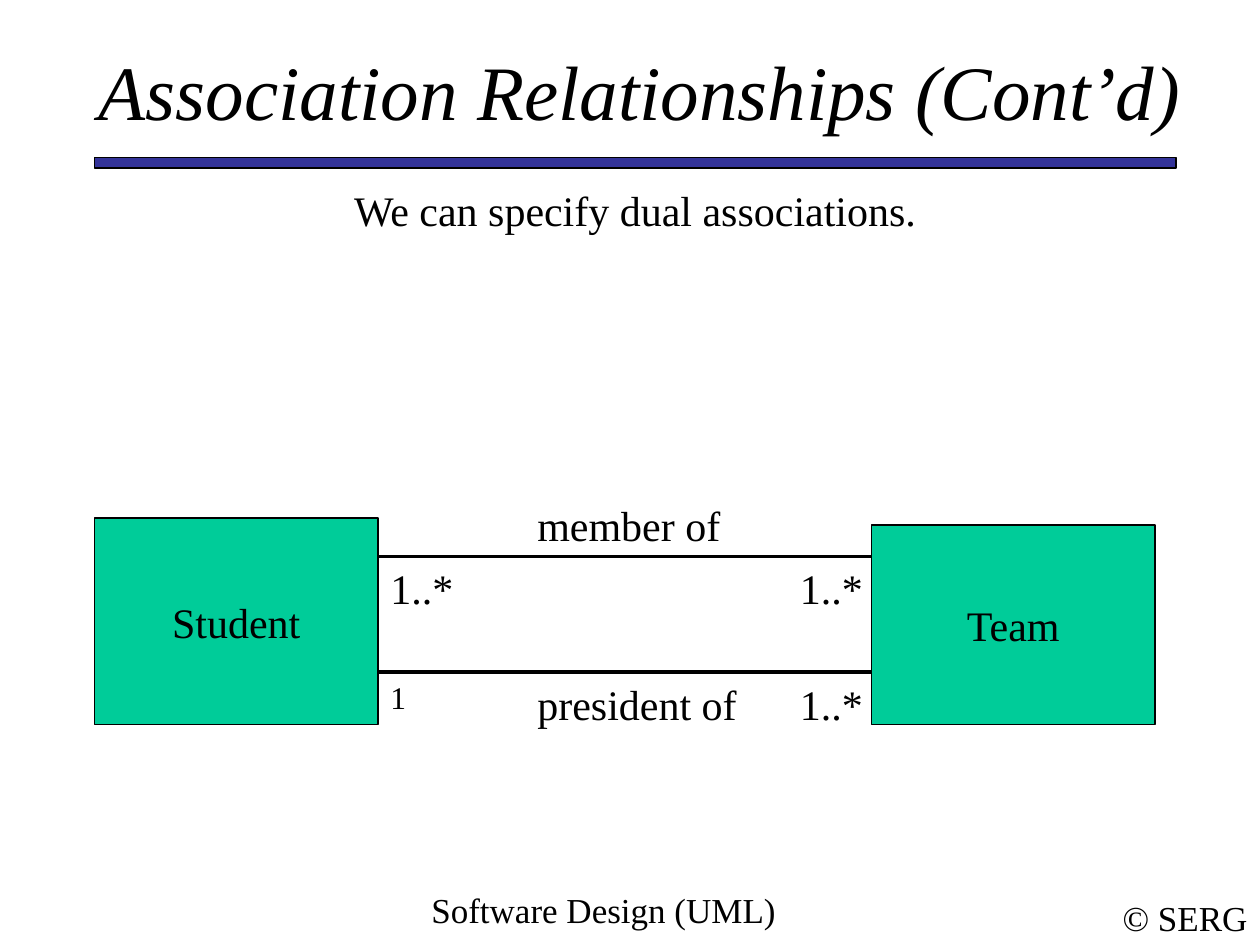
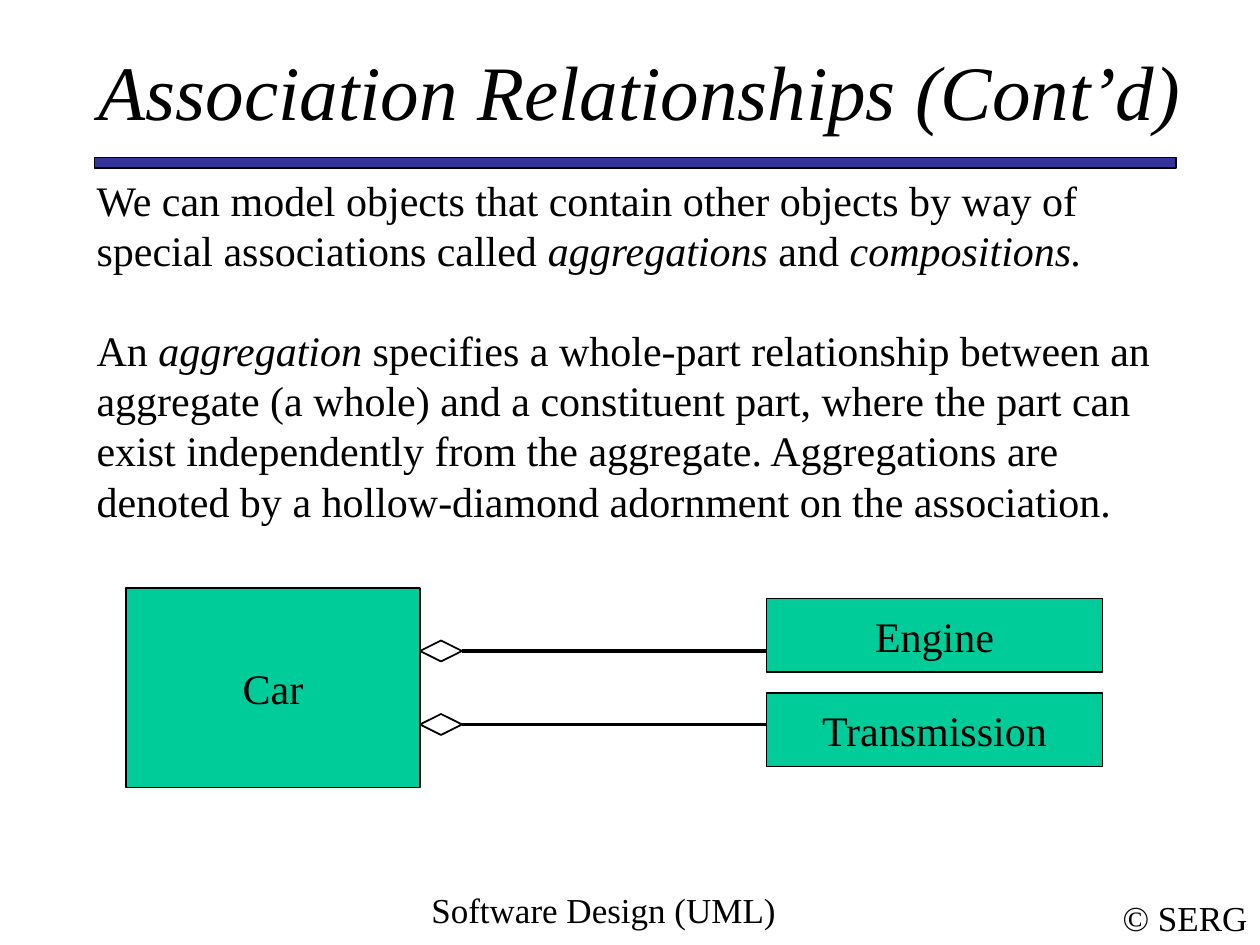
from dataclasses import dataclass

from lxml import etree
from pptx import Presentation
from pptx.dml.color import RGBColor
from pptx.enum.shapes import MSO_CONNECTOR, MSO_SHAPE
from pptx.enum.text import MSO_ANCHOR, MSO_AUTO_SIZE, PP_ALIGN
from pptx.oxml.ns import qn
from pptx.util import Pt

LEFT, CENTER = PP_ALIGN.LEFT, PP_ALIGN.CENTER
TOP, MIDDLE = MSO_ANCHOR.TOP, MSO_ANCHOR.MIDDLE
RECTANGLE, STRAIGHT = MSO_SHAPE.RECTANGLE, MSO_CONNECTOR.STRAIGHT
NO_AUTOFIT = MSO_AUTO_SIZE.NONE


@dataclass(frozen=True)
class Theme:
    font: str = "Times New Roman"
    ink: str = "000000"
    paper: str = "FFFFFF"
    band: str = "333399"
    class_fill: str = "00CC99"
    title: int = 44
    body: int = 24
    footer: int = 20
    small: int = 18
    thin: float = 0.75
    outline: float = 1
    association: float = 2.25
    paragraph_gap: float = 28


THEME = Theme()

# Boxes are (left, top, width, height) in points.
SLIDE_SIZE = (720, 540)
TITLE = "Association Relationships (Cont’d)"
TITLE_BOX = (48, 30, 636, 42)
BAND_BOX = (54, 90, 618, 6)
FOOTERS = [
    ("Software Design (UML)", (186, 504, 318, 36), TOP, True),
    ("© SERG", (634.5, 508.5, 85.5, 31.5), MIDDLE, False),
]

# Paragraphs are lists of (text, italic) spans.
DUAL_INTRO = [[("We can specify dual associations.", False)]]
DUAL_INTRO_BOX = (54, 102, 618, 36)
DUAL_CLASSES = [("Team", (498, 300, 162, 114)), ("Student", (54, 296, 162, 118))]
DUAL_LINES = [(216, 504, 318), (216, 498, 384)]  # start x, end x, y
DUAL_LABELS = [  # text, left, top, width, size
    ("member of", 300, 282, 138, THEME.body),
    ("president of", 300, 384, 138, THEME.body),
    ("1..*", 216, 318, 54, THEME.body),
    ("1..*", 450, 318, 54, THEME.body),
    ("1", 216, 384, 30, THEME.small),
    ("1..*", 450, 384, 54, THEME.body),
]

AGGREGATION_INTRO = [
    [
        ("We can model objects that contain other objects by way of special "
         "associations called ", False),
        ("aggregations", True),
        (" and ", False),
        ("compositions.", True),
    ],
    [
        ("An ", False),
        ("aggregation", True),
        (" specifies a whole-part relationship between an aggregate (a whole) and a "
         "constituent part, where the part can exist independently from the aggregate. "
         "Aggregations are denoted by a hollow-diamond adornment on the association.",
         False),
    ],
]
AGGREGATION_INTRO_BOX = (48, 96, 618, 209)
WHOLE = ("Car", (72, 336, 168, 114))
PARTS = [("Engine", (438, 342, 192, 42), 372), ("Transmission", (438, 396, 192, 42), 414)]
DIAMOND_SIZE = (24, 12)


def points(values):
    return [Pt(value) for value in values]


def write(shape, paragraphs, size, align=LEFT, anchor=TOP, wrap=True, margins=(7.2, 3.6)):
    frame = shape.text_frame
    side, edge = points(margins)
    settings = {
        "auto_size": NO_AUTOFIT, "word_wrap": wrap, "vertical_anchor": anchor,
        "margin_left": side, "margin_right": side, "margin_top": edge, "margin_bottom": edge,
    }
    for name, value in settings.items():
        setattr(frame, name, value)
    for index, spans in enumerate(paragraphs):
        para = frame.add_paragraph() if index else frame.paragraphs[0]
        para.alignment = align
        para.space_before = Pt(THEME.paragraph_gap if index else 0)
        for text, italic in spans:
            span = para.add_run()
            span.text = text
            font = {"name": THEME.font, "size": Pt(size), "italic": italic}
            for name, value in font.items():
                setattr(span.font, name, value)
            span.font.color.rgb = RGBColor.from_string(THEME.ink)


def paint(shape, fill, width):
    shape.shadow.inherit = False
    shape.fill.solid()
    shape.fill.fore_color.rgb = RGBColor.from_string(fill)
    shape.line.color.rgb = RGBColor.from_string(THEME.ink)
    shape.line.width = Pt(width)


def place(placeholder, box):
    names = ("left", "top", "width", "height")
    for name, value in zip(names, points(box)):
        setattr(placeholder, name, value)


def add_label(shapes, text, box, size, **layout):
    write(shapes.add_textbox(*points(box)), [[(text, False)]], size, **layout)


def add_class(shapes, name, box):
    shape = shapes.add_shape(RECTANGLE, *points(box))
    paint(shape, THEME.class_fill, THEME.thin)
    write(shape, [[(name, False)]], THEME.body, CENTER, MIDDLE, wrap=False)


def add_association(shapes, start, end, y):
    line = shapes.add_connector(STRAIGHT, *points((start, y, end, y)))
    line.line.color.rgb = RGBColor.from_string(THEME.ink)
    line.line.width = Pt(THEME.association)
    etree.SubElement(line._element.spPr, qn("a:effectLst"))


def add_diamond(shapes, left, y):
    """Draw a hollow diamond whose left tip is at (left, y)."""
    width, height = DIAMOND_SIZE
    middle = left + width / 2
    builder = shapes.build_freeform(Pt(left), Pt(y))
    corners = [(middle, y - height / 2), (left + width, y), (middle, y + height / 2)]
    builder.add_line_segments([points(corner) for corner in corners], close=True)
    paint(builder.convert_to_shape(), THEME.paper, THEME.outline)


def add_page(deck, intro, intro_box, align):
    """Add a slide with the shared title, band and footers, and its own intro."""
    page = deck.slides.add_slide(deck.slide_layouts[1])
    title, body = page.shapes.title, page.placeholders[1]
    place(title, TITLE_BOX)
    write(title, [[(TITLE, True)]], THEME.title, CENTER, MIDDLE, margins=(0, 0))
    place(body, intro_box)
    write(body, intro, THEME.body, align)
    for para in body.text_frame.paragraphs:
        properties = para._p.get_or_add_pPr()
        properties.set("marL", "0")
        properties.set("indent", "0")
        etree.SubElement(properties, qn("a:buNone"))
    band = page.shapes.add_shape(RECTANGLE, *points(BAND_BOX))
    paint(band, THEME.band, THEME.thin)
    for text, box, anchor, wrap in FOOTERS:
        add_label(page.shapes, text, box, THEME.footer, align=CENTER, anchor=anchor, wrap=wrap)
    return page


def add_dual_associations(deck):
    shapes = add_page(deck, DUAL_INTRO, DUAL_INTRO_BOX, CENTER).shapes
    for start, end, y in DUAL_LINES:
        add_association(shapes, start, end, y)
    for name, box in DUAL_CLASSES:
        add_class(shapes, name, box)
    for text, left, top, width, size in DUAL_LABELS:
        add_label(shapes, text, (left, top, width, size * 1.5), size)


def add_aggregation(deck):
    page = add_page(deck, AGGREGATION_INTRO, AGGREGATION_INTRO_BOX, LEFT)
    shapes = page.shapes.add_group_shape().shapes
    add_class(shapes, *WHOLE)
    left, _, width, _ = WHOLE[1]
    whole_edge = left + width
    for name, box, y in PARTS:
        add_class(shapes, name, box)
        add_association(shapes, whole_edge + DIAMOND_SIZE[0], box[0], y)
        add_diamond(shapes, whole_edge, y)


def main():
    deck = Presentation()
    deck.slide_width, deck.slide_height = points(SLIDE_SIZE)
    add_dual_associations(deck)
    add_aggregation(deck)
    deck.save("out.pptx")


if __name__ == "__main__":
    main()
